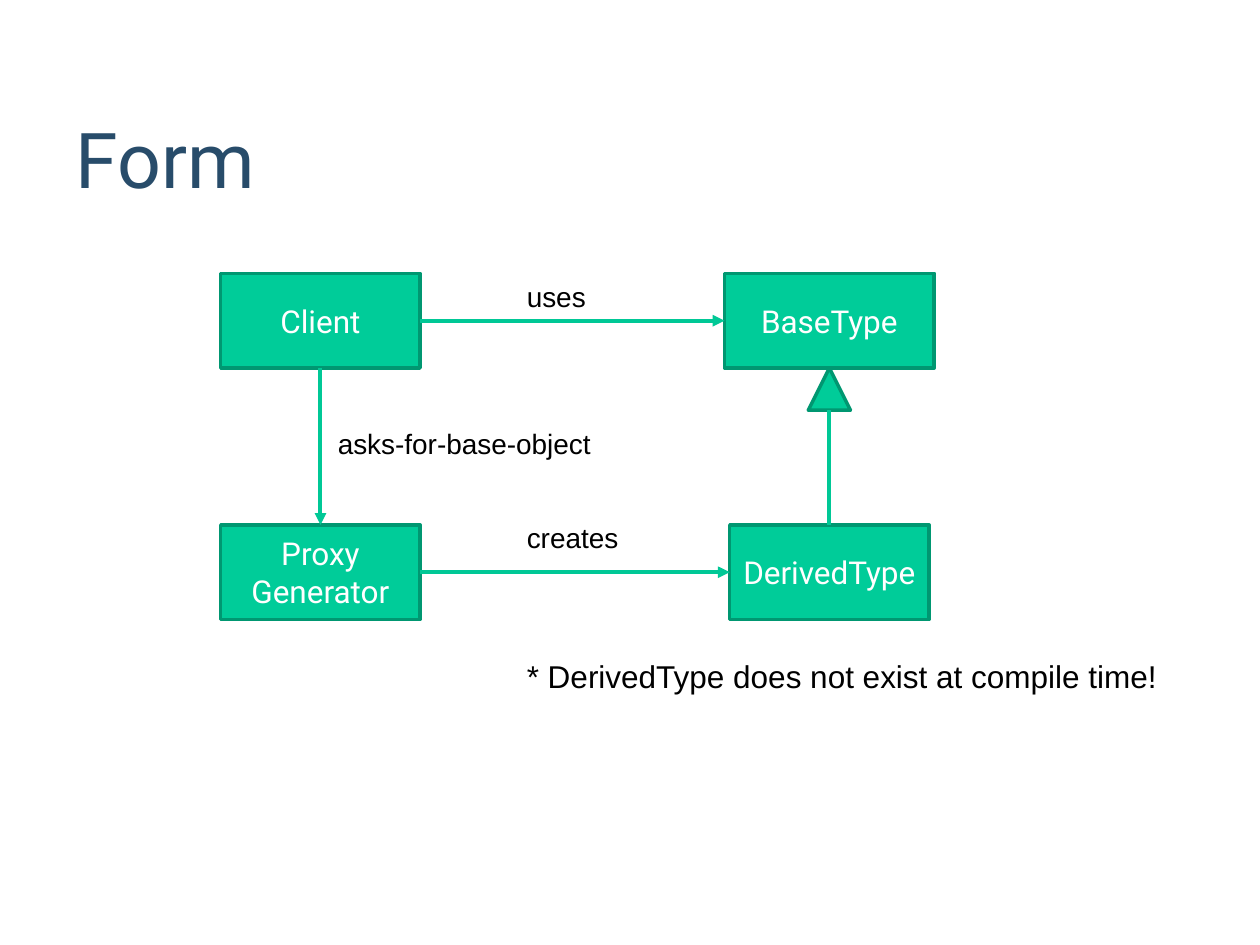
from dataclasses import dataclass

from lxml.etree import SubElement
from pptx import Presentation
from pptx.dml.color import RGBColor
from pptx.enum.shapes import MSO_CONNECTOR, MSO_SHAPE
from pptx.enum.text import MSO_ANCHOR, MSO_AUTO_SIZE, PP_ALIGN
from pptx.oxml.ns import qn
from pptx.util import Cm, Pt


@dataclass(frozen=True)
class Theme:
    """Colours, fonts and type sizes of the slide."""

    title_color: RGBColor = RGBColor(0x28, 0x4C, 0x6A)
    fill: RGBColor = RGBColor(0x00, 0xCC, 0x99)
    border: RGBColor = RGBColor(0x00, 0x97, 0x71)
    arrow: RGBColor = RGBColor(0x00, 0xC8, 0x96)
    on_fill: RGBColor = RGBColor(0xFF, 0xFF, 0xFF)
    text: RGBColor = RGBColor(0x00, 0x00, 0x00)
    main_font: str = "Roboto"
    label_font: str = "Arial"
    title_size: Pt = Pt(44)
    box_size: Pt = Pt(18)
    label_size: Pt = Pt(16)
    note_size: Pt = Pt(18)


THEME = Theme()
TOP, BOTTOM = Cm(5.51), Cm(10.58)
LEFT_CENTER, RIGHT_CENTER = Cm(6.46), Cm(16.72)
BOX_WIDTH, BOX_HEIGHT = Cm(4.02), Cm(1.91)
LABEL_LEFT = Cm(10.37)
SIDE_TOP, SIDE_LEFT, SIDE_BOTTOM, SIDE_RIGHT = range(4)


def write(frame, wording, font, size, color, align=PP_ALIGN.LEFT):
    """Put one formatted paragraph into a text frame."""
    frame.text = wording
    paragraph = frame.paragraphs[0]
    paragraph.alignment = align
    run_font = paragraph.runs[0].font
    run_font.name, run_font.size = font, size
    run_font.color.rgb = color


def set_title(slide, wording):
    """Place and format the title placeholder."""
    title = slide.shapes.title
    title.left, title.top = Cm(1.27), Cm(1.91)
    title.width, title.height = Cm(22.43), Cm(2.54)
    write(title.text_frame, wording, THEME.main_font, THEME.title_size, THEME.title_color)
    title.text_frame.vertical_anchor = MSO_ANCHOR.MIDDLE
    title.text_frame.auto_size = MSO_AUTO_SIZE.NONE


def add_outlined(slide, preset, center, top, width, height):
    """Add a filled, outlined shape centred on a column."""
    outlined = slide.shapes.add_shape(preset, center - width // 2, top, width, height)
    outlined.shadow.inherit = False
    outlined.fill.solid()
    outlined.fill.fore_color.rgb = THEME.fill
    outlined.line.color.rgb = THEME.border
    outlined.line.width = Pt(2)
    return outlined


def add_class_box(slide, wording, center, top, width=BOX_WIDTH):
    """Add a named box of the class diagram."""
    box = add_outlined(slide, MSO_SHAPE.RECTANGLE, center, top, width, BOX_HEIGHT)
    write(box.text_frame, wording, THEME.main_font, THEME.box_size, THEME.on_fill, PP_ALIGN.CENTER)
    box.text_frame.vertical_anchor = MSO_ANCHOR.MIDDLE
    return box


def add_line(slide, begin=(0, 0), end=(0, 0)):
    """Add a plain diagram line without a shadow."""
    line = slide.shapes.add_connector(MSO_CONNECTOR.STRAIGHT, *begin, *end)
    line.line.color.rgb = THEME.arrow
    line.line.width = Pt(2.25)
    SubElement(line._element.spPr, qn("a:effectLst"))
    return line


def add_arrow(slide, source, source_side, target, target_side):
    """Connect two boxes with an arrow pointing at the target."""
    arrow = add_line(slide)
    arrow.begin_connect(source, source_side)
    arrow.end_connect(target, target_side)
    SubElement(arrow.line._get_or_add_ln(), qn("a:tailEnd"), type="triangle")


def add_inheritance(slide, derived, center, base_bottom):
    """Draw the inheritance triangle and its line up from the derived type."""
    size = Cm(0.85)
    add_outlined(slide, MSO_SHAPE.ISOSCELES_TRIANGLE, center, base_bottom, size, size)
    stem = add_line(slide, (center, base_bottom + size), (center, derived.top))
    stem.end_connect(derived, SIDE_TOP)


def add_label(slide, wording, left, top, width, size=THEME.label_size, wrap=False):
    """Add black text beside the diagram."""
    label = slide.shapes.add_textbox(left, top, width, Cm(0.94))
    write(label.text_frame, wording, THEME.label_font, size, THEME.text)
    label.text_frame.word_wrap = wrap
    label.text_frame.auto_size = MSO_AUTO_SIZE.SHAPE_TO_FIT_TEXT


def main():
    """Build the slide and save it."""
    deck = Presentation()
    deck.slide_width, deck.slide_height = Cm(25.4), Cm(19.05)
    slide = deck.slides.add_slide(deck.slide_layouts[5])
    set_title(slide, "Form")

    derived = add_class_box(slide, "DerivedType", RIGHT_CENTER, BOTTOM)
    base = add_class_box(slide, "BaseType", RIGHT_CENTER, TOP, Cm(4.23))
    client = add_class_box(slide, "Client", LEFT_CENTER, TOP)
    generator = add_class_box(slide, "Proxy Generator", LEFT_CENTER, BOTTOM)

    add_inheritance(slide, derived, RIGHT_CENTER, TOP + BOX_HEIGHT)
    add_arrow(slide, generator, SIDE_RIGHT, derived, SIDE_LEFT)
    add_arrow(slide, client, SIDE_RIGHT, base, SIDE_LEFT)
    add_arrow(slide, client, SIDE_BOTTOM, generator, SIDE_TOP)

    add_label(slide, "uses", LABEL_LEFT, TOP, Cm(1.73))
    add_label(slide, "creates", LABEL_LEFT, Cm(10.37), Cm(2.39))
    add_label(slide, "asks-for-base-object", Cm(6.56), Cm(8.47), Cm(5.69))
    add_label(slide, "* DerivedType does not exist at compile time!",
              LABEL_LEFT, Cm(13.13), Cm(13.77), THEME.note_size, wrap=True)

    deck.save("out.pptx")


if __name__ == "__main__":
    main()
